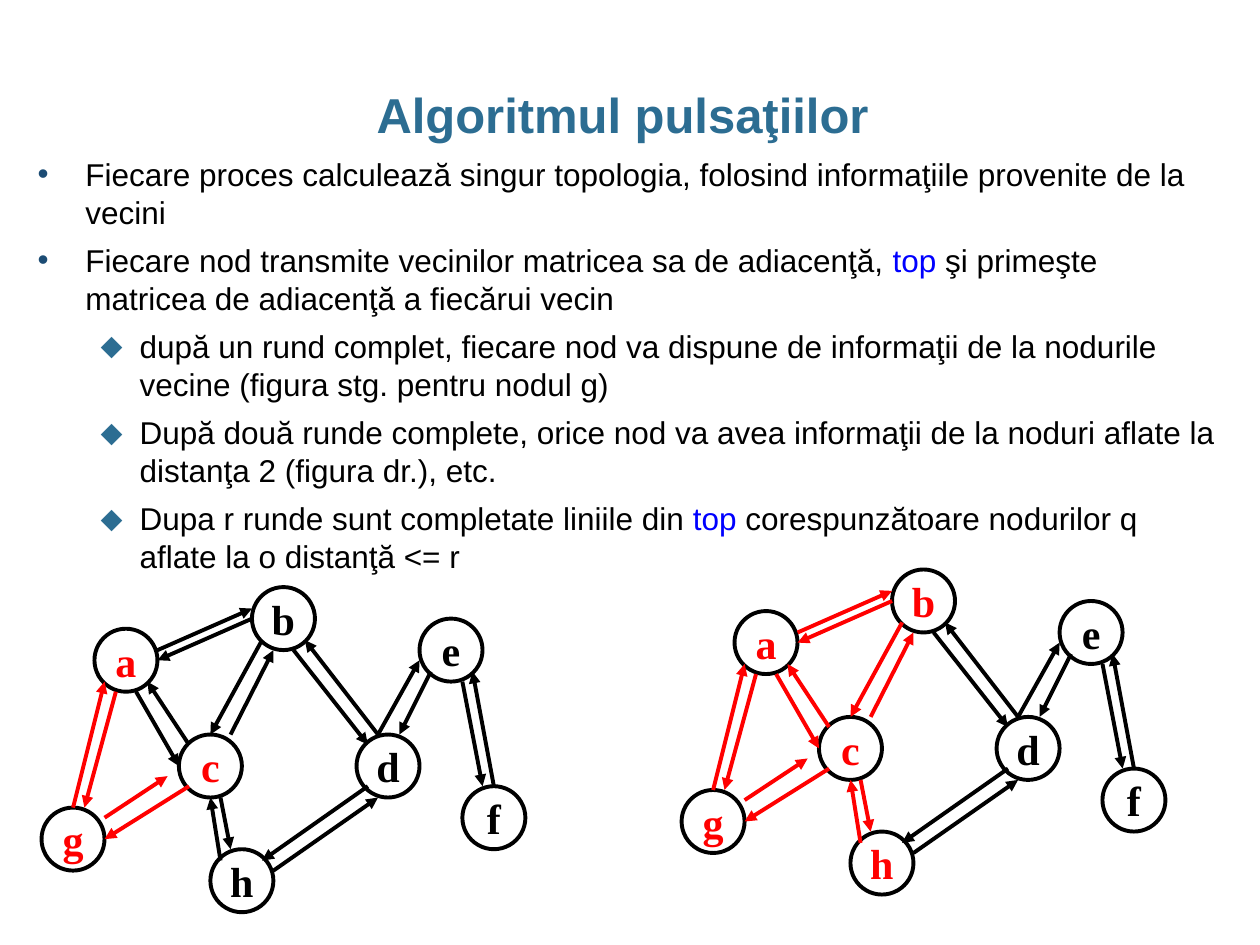
import pptx
import pptx.util
import pptx.dml.color
import pptx.enum.shapes
import pptx.enum.text
import pptx.oxml.ns
import lxml.etree
from pptx.util import Inches, Pt

BLACK, RED, BLUE, TEAL, NAVY = "000000", "FF0000", "0000FF", "2C6D92", "1C4C74"
TITLE = "Algoritmul pulsaţiilor "
BODY = [
    (0, ["Fiecare proces calculează singur topologia, folosind informaţiile provenite de la vecini"]),
    (0, ["Fiecare nod transmite vecinilor matricea sa de adiacenţă, ", "top ",
         "şi primeşte matricea de adiacenţă a fiecărui vecin"]),
    (1, ["după un rund complet, fiecare nod va dispune de informaţii de la nodurile vecine (figura stg. pentru nodul g)"]),
    (1, ["După două runde complete, orice nod va avea informaţii de la noduri aflate la distanţa 2 (figura dr.), etc."]),
    (1, ["Dupa r runde sunt completate liniile din ", "top ",
         "corespunzătoare nodurilor q aflate la o distanţă <= r"]),
]
BULLETS = [("•", NAVY, 0.38, -0.38), ("⬥", TEAL, 0.81, -0.31)]
NODES = {"b": (2, 4.66), "a": (0.75, 4.99), "c": (1.42, 5.83), "d": (2.83, 5.83),
         "e": (3.33, 4.91), "h": (1.67, 6.74), "f": (3.67, 6.24), "g": (0.33, 6.41)}
EDGES = [
    ("bc", 2.08, 5.08, 1.67, 5.83), ("cb", 1.83, 5.83, 2.17, 5.16),
    ("ba", 2, 4.91, 1.25, 5.24), ("ab", 1.25, 5.16, 2, 4.83),
    ("bd", 2.33, 5.16, 2.92, 5.91), ("db", 3, 5.83, 2.42, 5.08),
    ("dh", 2.92, 6.24, 2.08, 6.83), ("hd", 2.17, 6.91, 3, 6.33),
    ("cg", 1.5, 6.24, 0.83, 6.66), ("gc", 0.83, 6.49, 1.33, 6.16),
    ("ef", 3.67, 5.41, 3.83, 6.24), ("fe", 3.92, 6.24, 3.75, 5.33),
    ("ed", 3.42, 5.33, 3.17, 5.83), ("de", 3, 5.83, 3.33, 5.24),
    ("ac", 1.08, 5.49, 1.42, 6.08), ("ca", 1.5, 5.91, 1.17, 5.41),
    ("ch", 1.75, 6.33, 1.83, 6.74), ("hc", 1.75, 6.83, 1.67, 6.33),
    ("ag", 0.92, 5.49, 0.67, 6.41), ("ga", 0.58, 6.41, 0.83, 5.41),
]
GRAPHS = [(0, 0, "g"), (5.08, -0.14, "gac")]
DIAMETER = 0.5


def rgb(color):
    return pptx.dml.color.RGBColor.from_string(color)


def sub(parent, tag, **attrs):
    return lxml.etree.SubElement(parent, pptx.oxml.ns.qn(tag), **attrs)


def add_run(p, text, size, font, color, bold=False):
    r = p.add_run()
    r.text = text
    r.font.size, r.font.name, r.font.bold = Pt(size), font, bold
    r.font.color.rgb = rgb(color)


def add_text(s, x, y, w, h):
    tf = s.shapes.add_textbox(Inches(x), Inches(y), Inches(w), Inches(h)).text_frame
    tf.word_wrap = True
    return tf


def add_title(s):
    tf = add_text(s, 0.34, 0.68, 9.31, 0.5)
    tf.margin_left = tf.margin_right = 0
    tf.vertical_anchor = pptx.enum.text.MSO_ANCHOR.MIDDLE
    p = tf.paragraphs[0]
    p.alignment = pptx.enum.text.PP_ALIGN.CENTER
    p.line_spacing = 0.95
    add_run(p, TITLE, 28, "Arial", TEAL, True)


def add_body(s):
    tf = add_text(s, 0.2, 1.18, 9.58, 3.75)
    for i, (level, runs) in enumerate(BODY):
        p = tf.add_paragraph() if i else tf.paragraphs[0]
        p.level, p.space_after = level, Pt(6)
        char, color, margin, indent = BULLETS[level]
        pPr = p._p.get_or_add_pPr()
        pPr.set("marL", str(Inches(margin)))
        pPr.set("indent", str(Inches(indent)))
        sub(sub(pPr, "a:buClr"), "a:srgbClr", val=color)
        sub(pPr, "a:buFont", typeface="Arial")
        sub(pPr, "a:buChar", char=char)
        for text in runs:
            add_run(p, text, 18, "Arial", BLUE if text == "top " else BLACK)


def add_node(group, name, x, y, color):
    sp = group.shapes.add_shape(pptx.enum.shapes.MSO_SHAPE.OVAL, Inches(x), Inches(y),
                                Inches(DIAMETER), Inches(DIAMETER))
    sp.shadow.inherit = False
    sp.fill.background()
    sp.line.color.rgb, sp.line.width = rgb(BLACK), Pt(2.25)
    tf = sp.text_frame
    tf.word_wrap = False
    tf.vertical_anchor = pptx.enum.text.MSO_ANCHOR.MIDDLE
    p = tf.paragraphs[0]
    p.alignment = pptx.enum.text.PP_ALIGN.CENTER
    add_run(p, name, 24, "Times New Roman", color, True)


def add_arrow(group, x1, y1, x2, y2, color):
    line = group.shapes.add_connector(pptx.enum.shapes.MSO_CONNECTOR.STRAIGHT,
                                      Inches(x1), Inches(y1), Inches(x2), Inches(y2))
    line.line.color.rgb, line.line.width = rgb(color), Pt(2.25)
    sub(line.line._get_or_add_ln(), "a:tailEnd", type="triangle")
    sub(line._element.spPr, "a:effectLst")


def add_graph(s, dx, dy, sources):
    group = s.shapes.add_group_shape()
    known = [edge for edge, *_ in EDGES if set(edge) & set(sources)]
    reached = set("".join(known))
    for name, (x, y) in NODES.items():
        add_node(group, name, x + dx, y + dy, RED if name in reached else BLACK)
    for edge, x1, y1, x2, y2 in EDGES:
        add_arrow(group, x1 + dx, y1 + dy, x2 + dx, y2 + dy, RED if edge in known else BLACK)


def main():
    """Build the slide on the heartbeat algorithm."""
    prs = pptx.Presentation()
    prs.slide_width, prs.slide_height = Inches(10), Inches(7.5)
    s = prs.slides.add_slide(prs.slide_layouts[6])
    add_title(s)
    add_body(s)
    for graph in GRAPHS:
        add_graph(s, *graph)
    prs.save("out.pptx")


if __name__ == "__main__":
    main()
